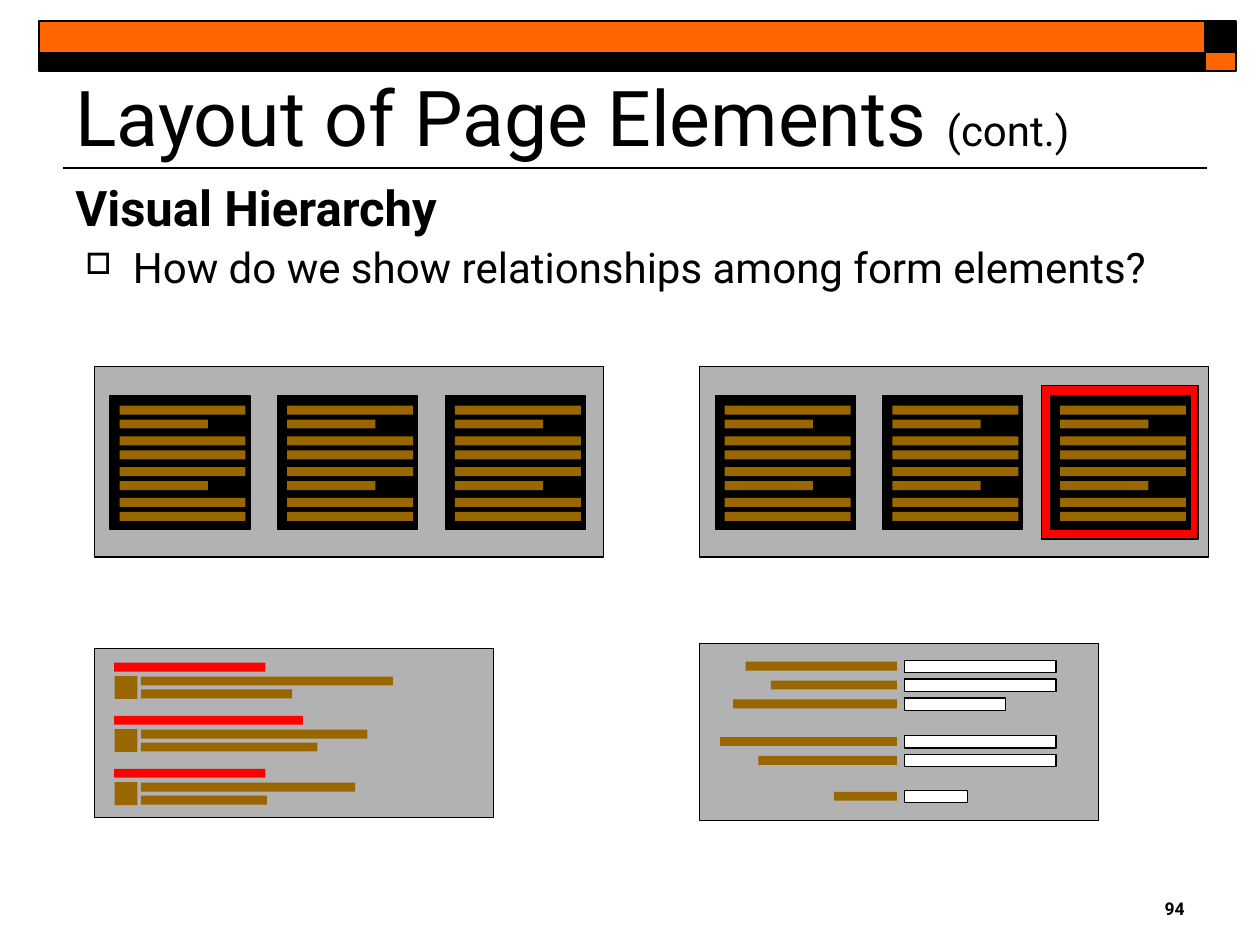
"""Build the "Layout of Page Elements" slide about visual hierarchy."""
from dataclasses import dataclass

from lxml.etree import SubElement
from pptx import Presentation
from pptx.dml.color import RGBColor
from pptx.enum.shapes import MSO_CONNECTOR, MSO_SHAPE
from pptx.enum.text import MSO_ANCHOR, PP_ALIGN
from pptx.oxml.ns import qn
from pptx.util import Cm, Pt


@dataclass(frozen=True)
class Theme:
    font: str = "Roboto"
    ink: str = "000000"
    accent: str = "FF6600"
    panel: str = "B2B2B2"
    bar: str = "996600"
    highlight: str = "FF0000"
    field: str = "FFFFFF"
    title_size: float = 44
    heading_size: float = 28
    body_size: float = 24
    number_size: float = 10
    rule: float = 1
    outline: float = 0.75
    bar_height: float = 0.18


class SlideBuilder:
    def __init__(self, slide, theme):
        self.slide = slide
        self.theme = theme
        self.shapes = slide.shapes

    def start_group(self):
        self.shapes = self.slide.shapes.add_group_shape().shapes

    def rectangle(self, left, top, width, height, fill, outline=None):
        shape = self.shapes.add_shape(
            MSO_SHAPE.RECTANGLE, Cm(left), Cm(top), Cm(width), Cm(height))
        shape.shadow.inherit = False
        shape.fill.solid()
        shape.fill.fore_color.rgb = RGBColor.from_string(fill)
        if outline:
            shape.line.color.rgb = RGBColor.from_string(self.theme.ink)
            shape.line.width = Pt(outline)
        else:
            shape.line.fill.background()

    def panel(self, left, top, width, height):
        self.start_group()
        self.rectangle(left, top, width, height, self.theme.panel, self.theme.outline)

    def bar(self, left, top, width, fill=None):
        self.rectangle(left, top, width, self.theme.bar_height, fill or self.theme.bar)

    def rule(self, left, right, top):
        connector = self.shapes.add_connector(
            MSO_CONNECTOR.STRAIGHT, Cm(left), Cm(top), Cm(right), Cm(top))
        connector.line.color.rgb = RGBColor.from_string(self.theme.ink)
        connector.line.width = Pt(self.theme.rule)
        SubElement(connector._element.spPr, qn("a:effectLst"))

    def text_box(self, left, top, width, height, anchor=MSO_ANCHOR.TOP):
        text_frame = self.shapes.add_textbox(
            Cm(left), Cm(top), Cm(width), Cm(height)).text_frame
        text_frame.word_wrap = True
        text_frame.vertical_anchor = anchor
        return text_frame

    def style(self, run, size, bold=False):
        run.font.name = self.theme.font
        run.font.size = Pt(size)
        run.font.bold = bold
        run.font.color.rgb = RGBColor.from_string(self.theme.ink)

    def bullet(self, paragraph):
        properties = paragraph._p.get_or_add_pPr()
        properties.set("marL", str(Cm(1.16)))
        properties.set("indent", str(Cm(-0.96)))
        color = SubElement(properties, qn("a:buClr"))
        SubElement(color, qn("a:srgbClr"), val=self.theme.ink)
        SubElement(properties, qn("a:buSzPct"), val="70000")
        SubElement(properties, qn("a:buChar"), char="□")

    def header(self):
        theme = self.theme
        self.rule(1.27, 24.33, 3.38)
        for left, width, top_fill, bottom_fill in (
                (0.79, 23.5, theme.accent, theme.ink),
                (24.29, 0.63, theme.ink, theme.accent)):
            self.rectangle(left, 0.43, width, 0.63, top_fill, theme.rule)
            self.rectangle(left, 1.06, width, 0.38, bottom_fill, theme.rule)

    def title(self, text, suffix):
        paragraph = self.text_box(1.27, 1.47, 22.86, 1.91, MSO_ANCHOR.BOTTOM).paragraphs[0]
        paragraph.text = text
        paragraph.add_run().text = suffix
        for run, size in zip(paragraph.runs, (self.theme.title_size, self.theme.body_size)):
            self.style(run, size)

    def body(self, heading, question):
        text_frame = self.text_box(1.27, 3.58, 22.86, 14.6)
        text_frame.text = heading
        first = text_frame.paragraphs[0]
        first.line_spacing = 0.9
        self.style(first.runs[0], self.theme.heading_size, bold=True)
        second = text_frame.add_paragraph()
        second.text = question
        second.line_spacing = 0.9
        second.space_before = Pt(6)
        self.bullet(second)
        self.style(second.runs[0], self.theme.body_size)

    def slide_number(self, number):
        text_frame = self.text_box(18.85, 17.98, 5.28, 0.84)
        text_frame.text = number
        text_frame.paragraphs[0].alignment = PP_ALIGN.RIGHT
        self.style(text_frame.paragraphs[0].runs[0], self.theme.number_size, bold=True)

    def card(self, left, top):
        self.rectangle(left, top, 2.82, 2.69, self.theme.ink, self.theme.outline)
        for row in range(8):
            pair, second = divmod(row, 2)
            width = 1.78 if row in (1, 5) else 2.54
            self.bar(left + 0.19, top + 0.2 + 0.62 * pair + 0.28 * second, width)

    def card_panel(self, left, highlighted=None):
        self.panel(left, 7.39, 10.27, 3.84)
        for index in range(3):
            card_left = left + 0.32 + 3.38 * index
            if index == highlighted:
                self.rectangle(card_left - 0.18, 7.77, 3.15, 3.1,
                               self.theme.highlight, self.theme.outline)
            self.card(card_left, 7.98)

    def entry_panel(self, entries):
        self.panel(1.9, 13.08, 8.05, 3.4)
        for index, (heading, first_line, second_line) in enumerate(entries):
            top = 13.36 + 1.07 * index
            self.bar(2.3, top, heading, self.theme.highlight)
            self.rectangle(2.31, top + 0.27, 0.46, 0.46, self.theme.bar)
            self.bar(2.84, top + 0.28, first_line)
            self.bar(2.84, top + 0.54, second_line)

    def form_panel(self, rows):
        self.panel(14.1, 12.98, 8.05, 3.56)
        for position, label, field in rows:
            top = 13.31 + 0.38 * position
            self.bar(18.08 - label, top + 0.03, label)
            self.rectangle(18.24, top, field, 0.25, self.theme.field, self.theme.outline)


def main():
    presentation = Presentation()
    presentation.slide_width, presentation.slide_height = Cm(25.4), Cm(19.05)
    slide = presentation.slides.add_slide(presentation.slide_layouts[6])
    builder = SlideBuilder(slide, Theme())
    builder.header()
    builder.slide_number("94")
    builder.title("Layout of Page Elements ", "(cont.)")
    builder.body("Visual Hierarchy", "How do we show relationships among form elements?")
    builder.card_panel(14.1, highlighted=2)
    builder.card_panel(1.9)
    builder.entry_panel([(3.05, 5.08, 3.05), (3.81, 4.57, 3.56), (3.05, 4.32, 2.54)])
    builder.form_panel([(0, 3.05, 3.05), (1, 2.54, 3.05), (2, 3.3, 2.03),
                        (4, 3.56, 3.05), (5, 2.79, 3.05), (6.9, 1.27, 1.27)])
    presentation.save("out.pptx")


if __name__ == "__main__":
    main()
